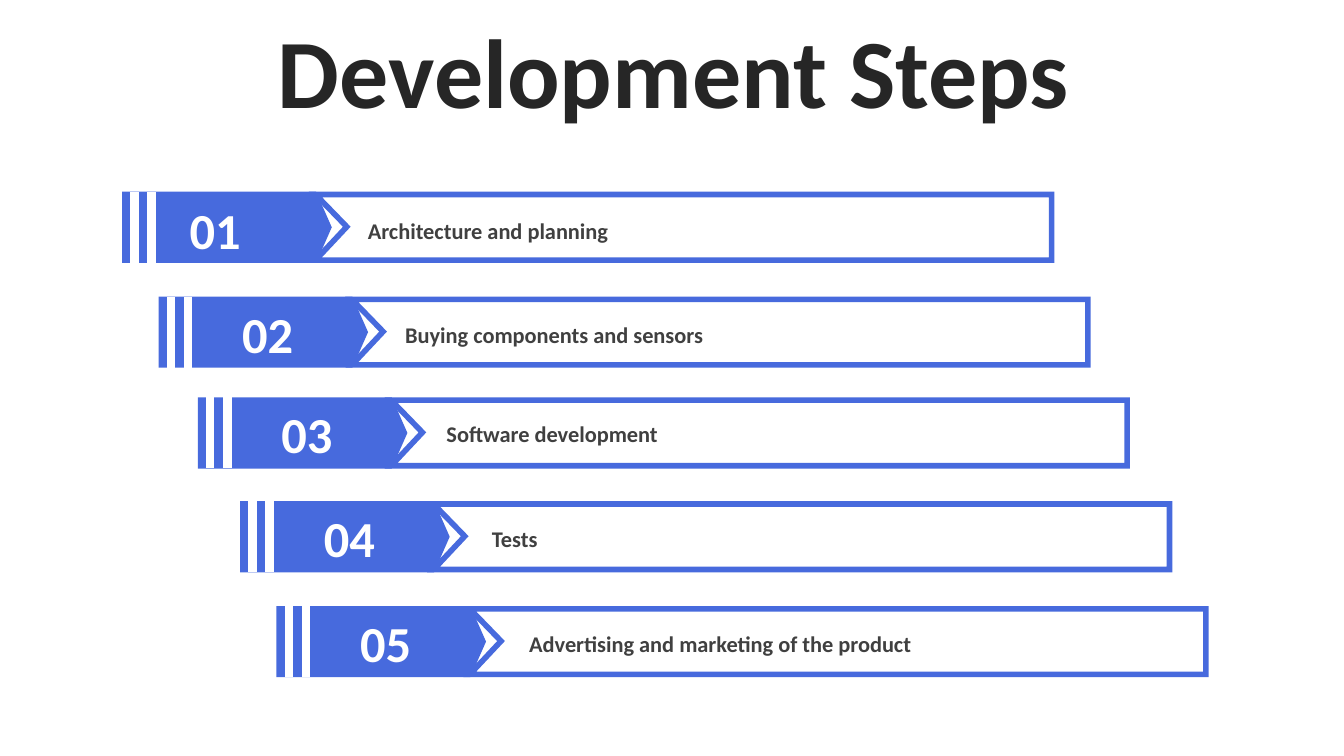
from dataclasses import dataclass
from lxml.etree import SubElement
from pptx import Presentation
from pptx.dml.color import RGBColor
from pptx.enum.shapes import MSO_SHAPE
from pptx.enum.text import MSO_ANCHOR, MSO_AUTO_SIZE, PP_ALIGN
from pptx.oxml.ns import qn
from pptx.util import Pt

PX = 9144


@dataclass(frozen=True)
class Theme:
    font: str = "Calibri"
    blue: str = "476ADD"
    white: str = "FFFFFF"
    title_color: str = "262626"
    label_color: str = "404040"
    title_size: int = 70
    number_size: int = 36
    label_size: int = 16
    border: int = 4


THEME = Theme()

STEPS = [
    ("Architecture and planning", (124, 193), (37, 4), (231, 18)),
    ("Buying components and sensors", (160, 297), (53, 3), (232, 17)),
    ("Software development", (199, 397), (53, 2), (234, 15)),
    ("Tests", (241, 500), (53, 3), (237, 16)),
    ("Advertising and marketing of the product", (277, 604), (53, 3), (238, 16)),
]


def px(*lengths):
    return [n * PX for n in lengths]


def add_text(s, text, box, size, color, align=PP_ALIGN.LEFT, anchor=MSO_ANCHOR.TOP,
             inset=5, grow=True, spacing=None, before=None):
    tf = s.shapes.add_textbox(*px(*box)).text_frame
    tf.word_wrap = True
    tf.auto_size = MSO_AUTO_SIZE.SHAPE_TO_FIT_TEXT if grow else MSO_AUTO_SIZE.NONE
    tf.vertical_anchor = anchor
    tf.margin_top = tf.margin_bottom = inset * PX
    p = tf.paragraphs[0]
    p.alignment, p.line_spacing, p.space_before = align, spacing, before
    r = p.add_run()
    r.text = text
    r.font.name, r.font.size, r.font.bold = THEME.font, Pt(size), True
    r.font.color.rgb = RGBColor.from_string(color)


def style(sp, fill, line):
    sp.shadow.inherit = False
    sp.fill.solid()
    sp.fill.fore_color.rgb = RGBColor.from_string(fill)
    sp.line.color.rgb = RGBColor.from_string(line)
    sp.line.width = Pt(THEME.border)
    ln = sp.line._get_or_add_ln()
    SubElement(ln, qn("a:miter"), lim="800000")


def add_title(s, text, box):
    add_text(s, text, box, THEME.title_size, THEME.title_color, PP_ALIGN.CENTER,
             MSO_ANCHOR.MIDDLE, grow=False, spacing=0.9, before=Pt(10))


def add_step(s, number, label, box, number_offset, label_offset):
    x, y, w, h = box
    left, right = x + 189, x + w
    frame = s.shapes.build_freeform(left, y, scale=PX)
    frame.add_line_segments(
        [(right, y), (right, y + h), (left, y + h), (left + 31, y + h // 2)])
    style(frame.convert_to_shape(), THEME.white, THEME.blue)

    tag = s.shapes.add_shape(MSO_SHAPE.PENTAGON, *px(x, y, 202, h))
    tag.adjustments[0] = 0.22
    style(tag, THEME.blue, THEME.blue)

    for i in range(2):
        stripe = s.shapes.add_shape(MSO_SHAPE.RECTANGLE, *px(x + 8 + 17 * i, y, 3, h))
        style(stripe, THEME.white, THEME.white)

    dx, dy = number_offset
    add_text(s, f"{number:02}", (x + dx, y + dy, 105, 61), THEME.number_size,
             THEME.white, PP_ALIGN.CENTER, MSO_ANCHOR.MIDDLE, inset=0)
    dx, dy = label_offset
    add_text(s, label, (x + dx, y + dy, 645, 37), THEME.label_size, THEME.label_color)


def main():
    prs = Presentation()
    prs.slide_width, prs.slide_height = px(1333, 750)
    s = prs.slides.add_slide(prs.slide_layouts[6])
    add_title(s, "Development Steps", (35, 37, 1266, 79))
    for number, (label, origin, number_offset, label_offset) in enumerate(STEPS, 1):
        add_step(s, number, label, (*origin, 919, 65), number_offset, label_offset)
    prs.save("out.pptx")


if __name__ == "__main__":
    main()
